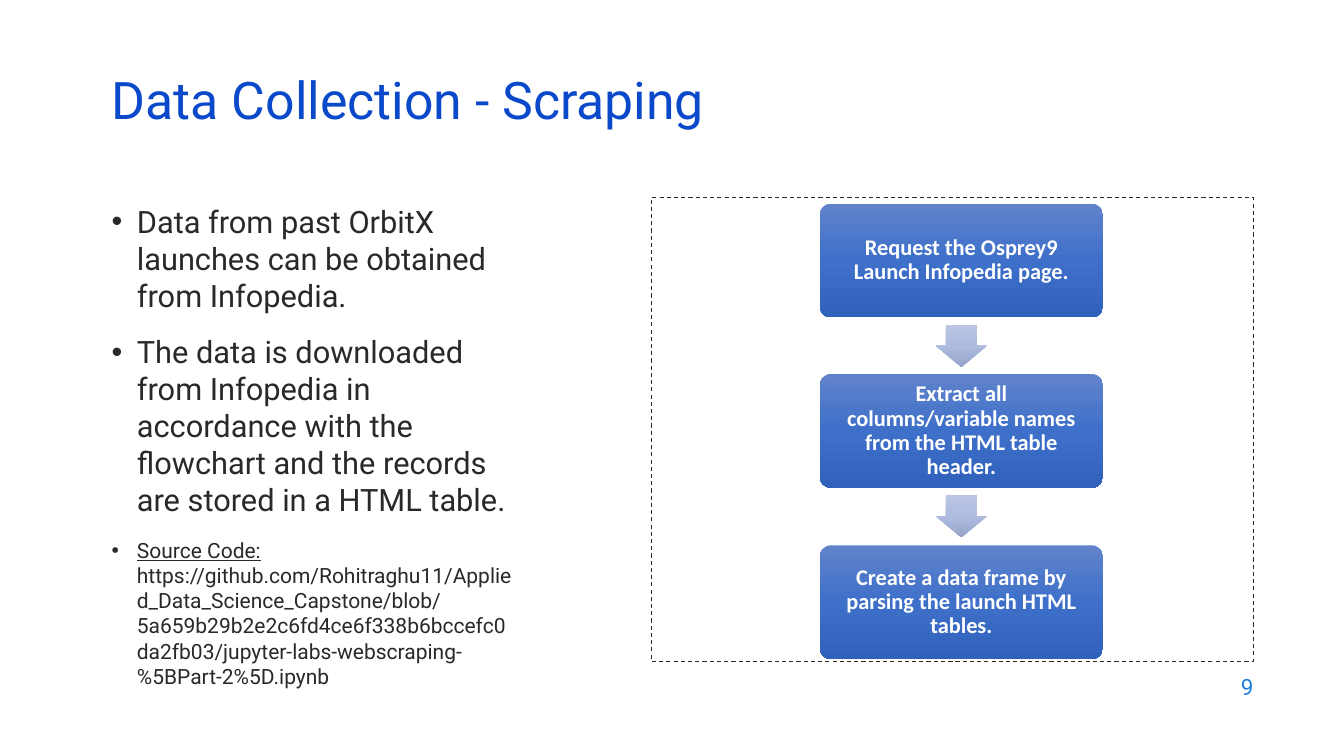
from copy import deepcopy

from lxml import etree
from pptx import Presentation
from pptx import util as u
from pptx.dml.color import RGBColor
from pptx.enum import dml, shapes, text
from pptx.oxml.ns import qn

PX = 9144  # EMU per px, 100 px to the inch
BLUE = RGBColor(0x0B, 0x49, 0xCB)
SKY = RGBColor(0x1C, 0x7D, 0xDB)
INK = RGBColor(0x29, 0x29, 0x29)
WHITE = RGBColor(0xFF, 0xFF, 0xFF)
STEP = [RGBColor(0x61, 0x83, 0xCB), RGBColor(0x3E, 0x70, 0xCA), RGBColor(0x30, 0x62, 0xBB)]
PALE = [RGBColor(0xBB, 0xC5, 0xE3), RGBColor(0xAE, 0xBB, 0xE0), RGBColor(0x98, 0xA4, 0xCB)]

LEFT, RIGHT, MID = text.PP_ALIGN.LEFT, text.PP_ALIGN.RIGHT, text.PP_ALIGN.CENTER
KIND = shapes.MSO_SHAPE


class Deck:
    font = "Roboto"

    def __init__(self, wide, high):
        self.prs = Presentation()
        self.prs.slide_width, self.prs.slide_height = wide * PX, high * PX
        self.slide = self.prs.slides.add_slide(self.prs.slide_layouts[5])

    def run(self, para, words, size, color, font=None, bold=None, line=None):
        run = para.add_run()
        run.text = words
        run.font.name = font or self.font
        run.font.size = u.Pt(size)
        run.font.color.rgb = color
        run.font.bold = bold
        run.font.underline = line

    def frame(self, shape, middle=True):
        tf = shape.text_frame
        tf.word_wrap = True
        tf.auto_size = text.MSO_AUTO_SIZE.NONE
        tf.vertical_anchor = text.MSO_ANCHOR.MIDDLE if middle else text.MSO_ANCHOR.TOP
        return tf

    def title(self, box, words):
        shape = self.slide.shapes.title
        shape.left, shape.top, shape.width, shape.height = [n * PX for n in box]
        para = self.frame(shape).paragraphs[0]
        para.alignment, para.line_spacing = LEFT, 0.7
        self.run(para, words, 37, BLUE)

    def label(self, box, words, size, color):
        shape = self.slide.shapes.add_textbox(*[n * PX for n in box])
        para = self.frame(shape).paragraphs[0]
        para.alignment = RIGHT
        self.run(para, words, size, color)

    def list(self, box, items):
        shape = self.slide.shapes.add_textbox(*[n * PX for n in box])
        tf = self.frame(shape, middle=False)
        for i, (size, runs) in enumerate(items):
            para = tf.add_paragraph() if i else tf.paragraphs[0]
            props = para._p.get_or_add_pPr()
            props.set("marL", str(25 * PX))
            props.set("indent", str(-25 * PX))
            etree.SubElement(props, qn("a:buFont")).set("typeface", "Arial")
            etree.SubElement(props, qn("a:buChar")).set("char", "•")
            if i:
                para.space_before = u.Pt(14)
            for words, line in runs:
                self.run(para, words, size, INK, line=line)

    def shape(self, kind, box, adjust=()):
        shape = self.slide.shapes.add_shape(kind, *[n * PX for n in box])
        shape.shadow.inherit = False
        shape.line.fill.background()
        for i, value in enumerate(adjust):
            shape.adjustments[i] = value
        return shape

    def shade(self, shape, colors):
        shape.fill.gradient()
        shape.fill.gradient_angle = 270  # top to bottom
        stops = shape._element.spPr.find(".//" + qn("a:gsLst"))
        stops.insert(1, deepcopy(stops[0]))
        for i, (stop, color) in enumerate(zip(shape.fill.gradient_stops, colors)):
            stop.position = i / 2
            stop.color.rgb = color

    def border(self, box):
        shape = self.shape(KIND.RECTANGLE, box)
        shape.fill.background()
        shape.line.color.rgb = INK
        shape.line.width = u.Pt(0.75)
        shape.line.dash_style = dml.MSO_LINE.DASH

    def step(self, box, words):
        shape = self.shape(KIND.ROUNDED_RECTANGLE, box, [0.1])
        self.shade(shape, STEP)
        tf = self.frame(shape)
        tf.margin_left = tf.margin_right = tf.margin_top = tf.margin_bottom = 10 * PX
        para = tf.paragraphs[0]
        para.alignment, para.line_spacing = MID, 0.9
        self.run(para, words, 16, WHITE, "Calibri", bold=True)

    def arrow(self, box):
        self.shade(self.shape(KIND.DOWN_ARROW, box, [0.6, 0.5]), PALE)


LINK = ("https://github.com/Rohitraghu11/Applied_Data_Science_Capstone/blob/"
        "5a659b29b2e2c6fd4ce6f338b6bccefc0da2fb03/jupyter-labs-webscraping-%5BPart-2%5D.ipynb")
NOTES = [
    (22, [("Data from past OrbitX launches can be obtained from Infopedia.", None)]),
    (22, [("The data is downloaded from Infopedia in accordance with the flowchart "
           "and the records are stored in a HTML table.", None)]),
    (15, [("Source Code: ", True), (LINK, None)]),
]
STEPS = [
    "Request the Osprey9 Launch Infopedia page.",
    "Extract all columns/variable names from the HTML table header.",
    "Create a data frame by parsing the launch HTML tables.",
]


def main():
    deck = Deck(1333, 750)

    # Title, notes and page number
    deck.title((101, 76, 1150, 60), "Data Collection - Scraping")
    deck.list((101, 196, 417, 507), NOTES)
    deck.label((953, 659, 300, 44), "9", 16, SKY)

    # Flowchart
    deck.border((646, 196, 597, 460))
    left, top, wide, high = 813, 202, 281, 113
    last = 541
    for i, words in enumerate(STEPS):
        y = top + (last - top) * i // (len(STEPS) - 1)
        deck.step((left, y, wide, high), words)
        if i < len(STEPS) - 1:
            deck.arrow((left + (wide - 51) // 2, y + high + 7, 51, 42))

    deck.prs.save("out.pptx")


if __name__ == "__main__":
    main()
